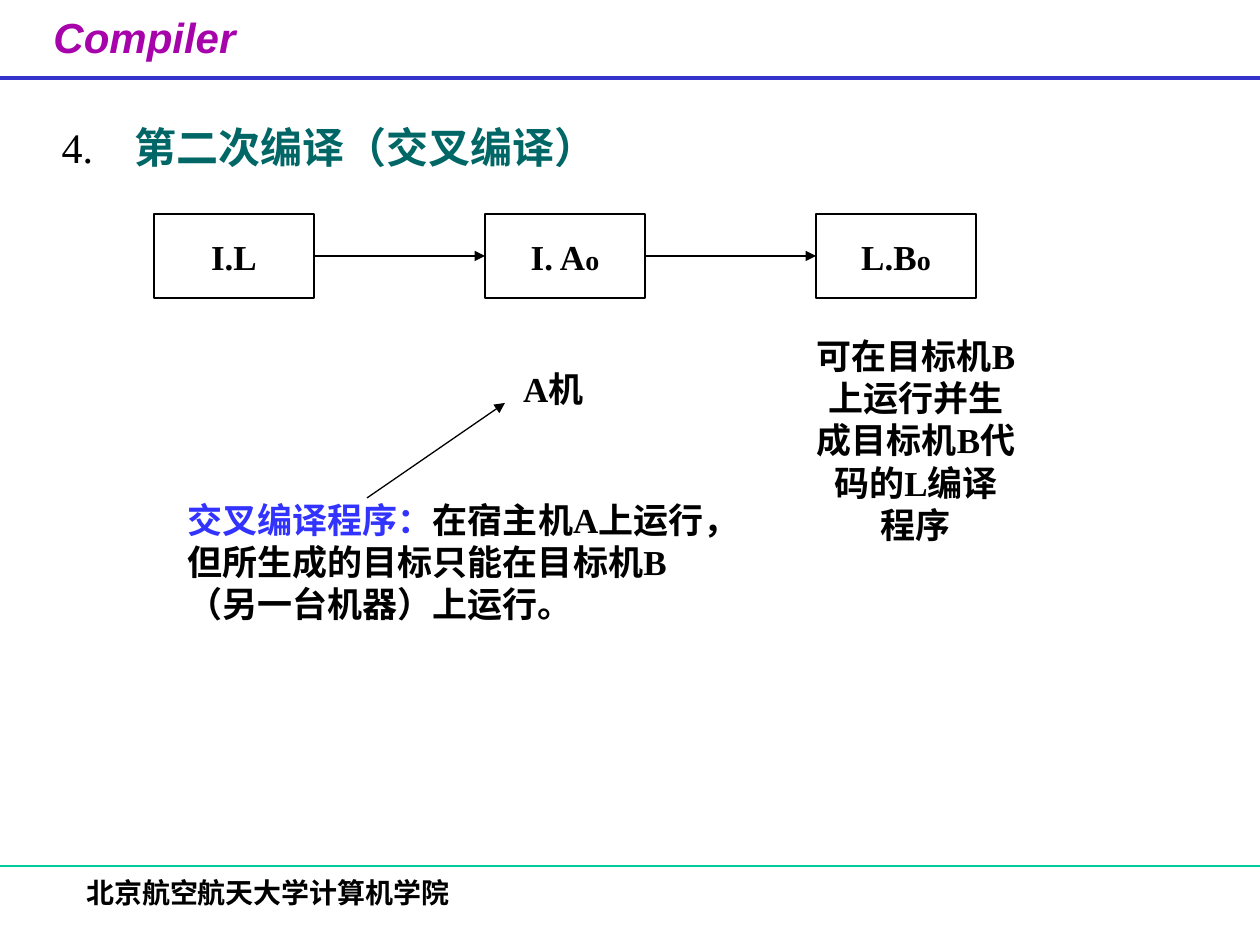
from lxml.etree import SubElement
from pptx import Presentation
from pptx.dml.color import RGBColor as RGB
from pptx.enum.shapes import MSO_CONNECTOR as CONNECTOR, MSO_SHAPE as SHAPE
from pptx.enum.text import MSO_ANCHOR as ANCHOR, PP_ALIGN as ALIGN
from pptx.oxml.ns import qn
from pptx.util import Pt

PX = 914400 // 126
COLORS = {
    "black": "000000",
    "purple": "A603AB",
    "teal": "006666",
    "blue": "3333FF",
    "header_rule": "3333CC",
    "footer_rule": "00CC99",
}


def write(shape, paragraphs, align=ALIGN.LEFT, anchor=ANCHOR.MIDDLE, wrap=False):
    frame = shape.text_frame
    frame.word_wrap = wrap
    frame.vertical_anchor = anchor
    for index, spans in enumerate(paragraphs):
        para = frame.paragraphs[0] if index == 0 else frame.add_paragraph()
        para.alignment = align
        for text, size, color in spans:
            span = para.add_run()
            span.text = text
            span.font.name = "Times New Roman"
            span.font.size = Pt(size)
            span.font.bold = True
            span.font.color.rgb = RGB.from_string(COLORS[color])


def draw_line(start, end, color, width, arrow=False):
    x1, y1, x2, y2 = [value * PX for value in (*start, *end)]
    line = slide.shapes.add_connector(CONNECTOR.STRAIGHT, x1, y1, x2, y2)
    line.line.color.rgb = RGB.from_string(COLORS[color])
    line.line.width = Pt(width)
    if arrow:
        SubElement(line._element.spPr.find(qn("a:ln")), qn("a:tailEnd"), type="triangle")
    SubElement(line._element.spPr, qn("a:effectLst"))
    return line


deck = Presentation()
deck.slide_width = 1260 * PX
deck.slide_height = 945 * PX
slide = deck.slides.add_slide(deck.slide_layouts[5])

header = slide.shapes.add_textbox(24 * PX, 5 * PX, 241 * PX, 78 * PX)
write(header, [[("Compiler", 24, "purple")]], ALIGN.CENTER, ANCHOR.TOP)
header_font = header.text_frame.paragraphs[0].runs[0].font
header_font.name = "Arial"
header_font.italic = True
draw_line((0, 78), (1260, 78), "header_rule", 2.25)

footer = slide.shapes.add_textbox(74 * PX, 869 * PX, 712 * PX, 63 * PX)
write(footer, [[("北京航空航天大学计算机学院", 16, "black")]], anchor=ANCHOR.TOP, wrap=True)
draw_line((0, 866), (1260, 866), "footer_rule", 0.75)

title = slide.shapes.title
title.left, title.top = 49 * PX, 115 * PX
title.width, title.height = 1187 * PX, 63 * PX
heading = [("4.\t", 24, "black"), ("第二次编译（交叉编译）", 24, "teal")]
write(title, [heading], anchor=ANCHOR.TOP, wrap=True)
title_para = title.text_frame.paragraphs[0]
title_para.runs[0].font.bold = False
title_props = title_para._p.get_or_add_pPr()
title_props.set("marL", str(73 * PX))
title_props.set("indent", str(-73 * PX))

stages = [("I.L", ""), ("I. A", "o"), ("L.B", "o")]
boxes = []
for index, (name, suffix) in enumerate(stages):
    box = slide.shapes.add_shape(
        SHAPE.RECTANGLE, (154 + 331 * index) * PX, 214 * PX, 160 * PX, 84 * PX
    )
    box.shadow.inherit = False
    box.fill.background()
    box.line.color.rgb = RGB.from_string(COLORS["black"])
    box.line.width = Pt(0.75)
    spans = [(name, 20, "black")]
    if suffix:
        spans.append((suffix, 16, "black"))
    write(box, [spans], ALIGN.CENTER)
    boxes.append(box)

for source, target in zip(boxes, boxes[1:]):
    arrow = draw_line((314, 256), (485, 256), "black", 0.75, arrow=True)
    arrow.begin_connect(source, 3)
    arrow.end_connect(target, 1)

machine = slide.shapes.add_textbox(452 * PX, 257 * PX, 203 * PX, 262 * PX)
write(machine, [[("A机", 20, "black")]], ALIGN.CENTER)

result_lines = ["可在目标机B", "上运行并生", "成目标机B代", "码的L编译", "程序"]
result = slide.shapes.add_textbox(786 * PX, 309 * PX, 260 * PX, 262 * PX)
write(result, [[(text, 20, "black")] for text in result_lines], ALIGN.CENTER)

definition = slide.shapes.add_textbox(175 * PX, 446 * PX, 587 * PX, 231 * PX)
write(definition, [
    [("交叉编译程序：", 20, "blue"), ("在宿主机A上运行，", 20, "black")],
    [("但所生成的目标只能在目标机B", 20, "black")],
    [("（另一台机器）上运行。", 20, "black")],
])
draw_line((367, 498), (505, 403), "black", 0.75, arrow=True)

deck.save("out.pptx")
